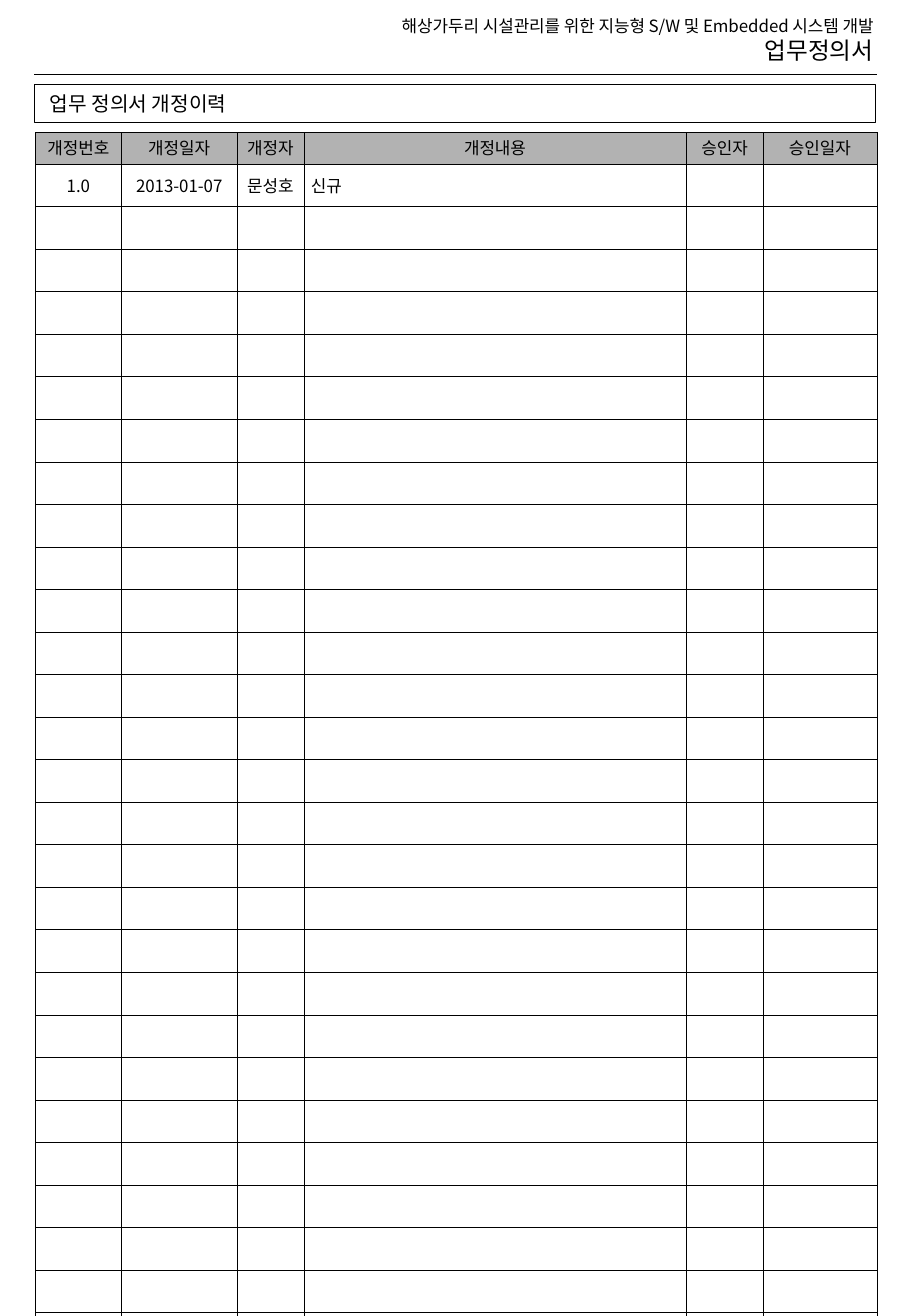
from dataclasses import dataclass

from lxml import etree
from pptx import Presentation
from pptx.dml.color import RGBColor
from pptx.enum import shapes, text
from pptx.oxml import ns
from pptx.util import Inches, Pt

BLACK = RGBColor(0x00, 0x00, 0x00)
WHITE = RGBColor(0xFF, 0xFF, 0xFF)
HEADER_GRAY = RGBColor(0xB2, 0xB2, 0xB2)
KOREAN = "Noto Sans CJK KR"
LATIN = "Karla"
BLANK_ROWS = 30
EMPTY_SIZE = 15
BORDER_WIDTH = 0.11
LEFT, CENTER, RIGHT = text.PP_ALIGN.LEFT, text.PP_ALIGN.CENTER, text.PP_ALIGN.RIGHT


@dataclass
class Column:
    heading: str
    width: float
    entry: str = ""
    align: text.PP_ALIGN = CENTER


@dataclass
class HeaderLine:
    words: str
    size: float


COLUMNS = [
    Column("개정번호", 0.71, "1.0"),
    Column("개정일자", 0.95, "2013-01-07"),
    Column("개정자", 0.55, "문성호"),
    Column("개정내용", 3.15, "신규", LEFT),
    Column("승인자", 0.63),
    Column("승인일자", 0.94),
]
HEADER = [
    HeaderLine("해상가두리 시설관리를 위한 지능형 S/W 및 Embedded 시스템 개발", 10),
    HeaderLine("업무정의서", 14),
]


def add_run(p, words: str, size: float, font: str = KOREAN) -> None:
    r = p.add_run()
    r.text = words
    r.font.size = Pt(size)
    r.font.name = font
    r.font.color.rgb = BLACK
    ea = etree.SubElement(r.font._element, ns.qn("a:ea"))
    ea.set("typeface", KOREAN)


def set_borders(cell) -> None:
    tcPr = cell._tc.get_or_add_tcPr()
    for side in ("lnL", "lnR", "lnT", "lnB"):
        ln = etree.SubElement(tcPr, ns.qn(f"a:{side}"), w=str(Pt(BORDER_WIDTH)))
        fill = etree.SubElement(ln, ns.qn("a:solidFill"))
        etree.SubElement(fill, ns.qn("a:srgbClr"), val=str(BLACK))


def set_empty_font(p) -> None:
    end = etree.SubElement(p._p, ns.qn("a:endParaRPr"), sz=str(EMPTY_SIZE * 100))
    for tag in ("latin", "ea"):
        etree.SubElement(end, ns.qn(f"a:{tag}"), typeface=KOREAN)


def fill_cell(cell, words: str, align: text.PP_ALIGN, color: RGBColor, spacing: float) -> None:
    set_borders(cell)
    cell.fill.solid()
    cell.fill.fore_color.rgb = color
    cell.margin_left = cell.margin_right = Inches(0.06)
    cell.margin_top = cell.margin_bottom = Inches(0.05)
    cell.vertical_anchor = text.MSO_ANCHOR.MIDDLE
    p = cell.text_frame.paragraphs[0]
    p.alignment = align
    if words:
        p.line_spacing = spacing
        add_run(p, words, 10)
    else:
        set_empty_font(p)


def add_header(s) -> None:
    sp = s.shapes.add_textbox(Inches(0.28), Inches(0.08), Inches(7.01), Inches(0.5))
    tf = sp.text_frame
    tf.word_wrap = True
    for i, line in enumerate(HEADER):
        p = tf.add_paragraph() if i else tf.paragraphs[0]
        p.alignment = RIGHT
        add_run(p, line.words, line.size)
    rule = s.shapes.add_connector(
        shapes.MSO_CONNECTOR.STRAIGHT, Inches(0.28), Inches(0.61), Inches(7.22), Inches(0.61)
    )
    rule.line.color.rgb = BLACK
    rule.line.width = Pt(0.25)
    etree.SubElement(rule._element.spPr, ns.qn("a:effectLst"))


def add_history_table(s) -> None:
    frame = s.shapes.add_table(
        BLANK_ROWS + 2, len(COLUMNS), Inches(0.29), Inches(1.09), Inches(6.93), Inches(9.09)
    )
    table = frame.table
    table.first_row = table.horz_banding = False
    for i, row in enumerate(table.rows):
        row.height = Inches(0.29 if i else 0.26)
    for j, column in enumerate(COLUMNS):
        table.columns[j].width = Inches(column.width)
        fill_cell(table.cell(0, j), column.heading, CENTER, HEADER_GRAY, 0.84)
        fill_cell(table.cell(1, j), column.entry, column.align, WHITE, 1.0)
        for i in range(2, BLANK_ROWS + 2):
            fill_cell(table.cell(i, j), "", column.align, WHITE, 1.0)


def add_title(s) -> None:
    sp = s.shapes.add_shape(
        shapes.MSO_SHAPE.RECTANGLE, Inches(0.28), Inches(0.69), Inches(6.93), Inches(0.32)
    )
    sp.shadow.inherit = False
    sp.fill.background()
    sp.line.color.rgb = BLACK
    sp.line.width = Pt(0.25)
    title = s.shapes.title
    title.left, title.top = Inches(0.31), Inches(0.7)
    title.width, title.height = Inches(1.75), Inches(0.3)
    tf = title.text_frame
    tf.word_wrap = False
    tf.auto_size = text.MSO_AUTO_SIZE.SHAPE_TO_FIT_TEXT
    tf.vertical_anchor = text.MSO_ANCHOR.TOP
    tf.margin_left = tf.margin_right = Inches(0.1)
    tf.margin_top = tf.margin_bottom = Inches(0.05)
    p = tf.paragraphs[0]
    p.alignment = LEFT
    add_run(p, "업무 정의서 개정이력", 12, LATIN)


def main() -> None:
    prs = Presentation()
    prs.slide_width, prs.slide_height = Inches(7.5), Inches(10.84)
    s = prs.slides.add_slide(prs.slide_layouts[5])
    add_header(s)
    add_history_table(s)
    add_title(s)
    prs.save("out.pptx")


if __name__ == "__main__":
    main()
